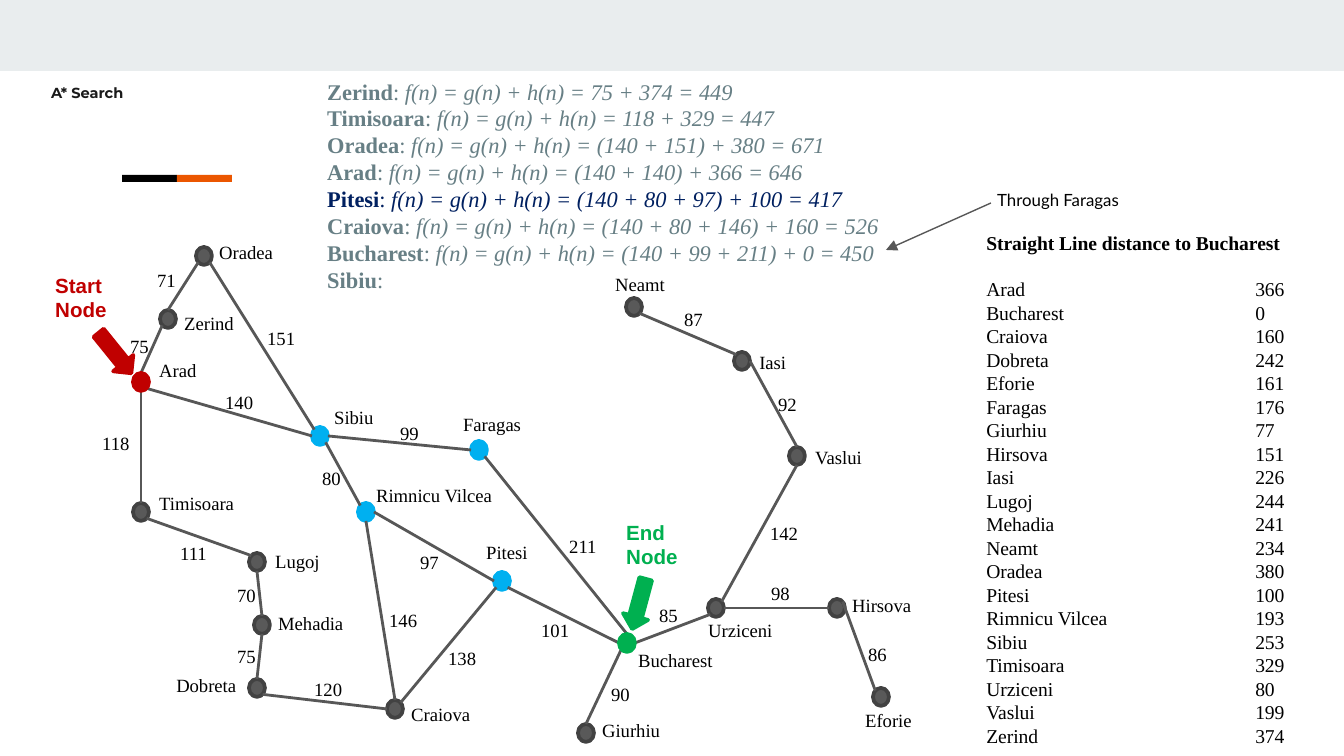
from lxml import etree
from pptx import Presentation
from pptx.dml.color import RGBColor
from pptx.enum.shapes import MSO_CONNECTOR, MSO_SHAPE
from pptx.oxml.ns import qn
from pptx.util import Emu, Pt

RECTANGLE, ELLIPSE, LEFT_ARROW = MSO_SHAPE.RECTANGLE, MSO_SHAPE.OVAL, MSO_SHAPE.LEFT_ARROW
STRAIGHT = MSO_CONNECTOR.STRAIGHT
SCALE = 914400 / 134.4

BLACK = RGBColor(0x00, 0x00, 0x00)
INK = RGBColor(0x1A, 0x1A, 0x1A)
BAND = RGBColor(0xE9, 0xED, 0xEE)
ORANGE = RGBColor(0xEB, 0x56, 0x00)
NODE_FILL = RGBColor(0x59, 0x59, 0x59)
NODE_LINE = RGBColor(0x42, 0x42, 0x42)
EDGE = RGBColor(0x57, 0x57, 0x57)
VISITED = RGBColor(0x00, 0xB0, 0xF0)
START = RGBColor(0xC0, 0x00, 0x00)
END = RGBColor(0x00, 0xB0, 0x50)
SLATE = RGBColor(0x67, 0x7F, 0x85)
NAVY = RGBColor(0x00, 0x20, 0x60)

SERIF = "Times New Roman"
MAP_TEXT = {"name": SERIF, "size": Pt(10)}
LIST_TEXT = {"name": SERIF, "size": Pt(10.5)}
COST_TEXT = {"name": SERIF, "size": Pt(12)}
NOTE_TEXT = {"name": "Lato", "size": Pt(9)}
TITLE_TEXT = {"name": "Montserrat", "size": Pt(7.8), "bold": True}
MARKER_TEXT = {"name": "Arial", "size": Pt(11), "bold": True}

RADIUS_X, RADIUS_Y = 8, 9
LABEL_HEIGHT = 35
DISTANCE_TAB = 269

# city: node centre, label left, top and width, distance to Bucharest
CITIES = {
    "Arad": (141, 382, 146, 352, 83, 366),
    "Bucharest": (627, 643, 625, 642, 310, 0),
    "Craiova": (395, 709, 398, 696, 112, 160),
    "Dobreta": (257, 688, 163, 667, 108, 242),
    "Eforie": (881, 697, 852, 702, 93, 161),
    "Faragas": (479, 450, 450, 406, 91, 176),
    "Giurhiu": (586, 733, 589, 712, 85, 77),
    "Hirsova": (837, 608, 839, 587, 108, 151),
    "Iasi": (742, 361, 746, 344, 66, 226),
    "Lugoj": (257, 562, 262, 543, 83, 244),
    "Mehadia": (262, 625, 265, 605, 105, 241),
    "Neamt": (634, 307, 602, 266, 310, 234),
    "Oradea": (204, 256, 206, 234, 310, 380),
    "Pitesi": (502, 581, 473, 534, 83, 100),
    "Rimnicu Vilcea": (366, 512, 363, 477, 181, 193),
    "Sibiu": (320, 436, 321, 399, 82, 253),
    "Timisoara": (141, 512, 146, 485, 310, 329),
    "Urziceni": (716, 608, 695, 612, 108, 80),
    "Vaslui": (797, 456, 802, 439, 110, 199),
    "Zerind": (168, 319, 171, 305, 95, 374),
}
VISITED_CITIES = ("Sibiu", "Rimnicu Vilcea", "Faragas", "Pitesi")
GOALS = {"Arad": START, "Bucharest": END}

# city and side, city and side, cost, label left, top and width
ROADS = [
    ("Oradea", "SW", "Zerind", "N", 71, 144, 262, 58),
    ("Zerind", "SW", "Arad", "N", 75, 117, 328, 58),
    ("Arad", "S", "Timisoara", "N", 118, 89, 425, 69),
    ("Oradea", "SE", "Sibiu", "NW", 151, 254, 320, 70),
    ("Timisoara", "SE", "Lugoj", "NW", 111, 167, 535, 58),
    ("Lugoj", "S", "Mehadia", "N", 70, 224, 577, 58),
    ("Mehadia", "S", "Dobreta", "N", 75, 224, 638, 58),
    ("Dobreta", "SE", "Craiova", "W", 120, 301, 671, 58),
    ("Craiova", "N", "Rimnicu Vilcea", "S", 146, 376, 602, 58),
    ("Arad", "SE", "Sibiu", "W", 140, 212, 384, 58),
    ("Sibiu", "SE", "Rimnicu Vilcea", "NW", 80, 309, 460, 58),
    ("Sibiu", "E", "Faragas", "W", 99, 387, 415, 58),
    ("Faragas", "SE", "Bucharest", "N", 211, 556, 528, 75),
    ("Rimnicu Vilcea", "E", "Pitesi", "W", 97, 407, 544, 58),
    ("Pitesi", "SW", "Craiova", "NE", 138, 435, 640, 58),
    ("Bucharest", "W", "Pitesi", "SE", 101, 528, 612, 58),
    ("Bucharest", "SW", "Giurhiu", "N", 90, 598, 676, 58),
    ("Bucharest", "E", "Urziceni", "SW", 85, 646, 597, 58),
    ("Urziceni", "E", "Hirsova", "W", 98, 758, 575, 58),
    ("Hirsova", "NE", "Eforie", "NW", 86, 855, 636, 58),
    ("Vaslui", "S", "Urziceni", "NE", 142, 757, 515, 71),
    ("Vaslui", "N", "Iasi", "E", 92, 765, 386, 58),
    ("Neamt", "SE", "Iasi", "NW", 87, 671, 301, 58),
]
COSTS = [
    ("Zerind", "75 + 374 = 449"),
    ("Timisoara", "118 + 329 = 447"),
    ("Oradea", "(140 + 151) + 380 = 671"),
    ("Arad", "(140 + 140) + 366 = 646"),
    ("Pitesi", "(140 + 80 + 97) + 100 = 417"),
    ("Craiova", "(140 + 80 + 146) + 160 = 526"),
    ("Bucharest", "(140 + 99 + 211) + 0 = 450"),
    ("Sibiu", ""),
]


def px(*lengths):
    """Turn pixel lengths into EMU."""
    return [Emu(round(length * SCALE)) for length in lengths]


def add_block(slide, kind, box, fill, line=None, rotation=0):
    """Add a filled preset shape, outlined when a line colour is given."""
    block = slide.shapes.add_shape(kind, *px(*box))
    block.shadow.inherit = False
    block.rotation = rotation
    block.fill.solid()
    block.fill.fore_color.rgb = fill
    if line is None:
        block.line.fill.background()
    else:
        block.line.color.rgb = line
        block.line.width = Pt(2)


def add_line(slide, start, end, width, arrow=False):
    """Add a straight line, with an arrowhead at its end if asked."""
    line = slide.shapes.add_connector(STRAIGHT, *px(*start, *end))
    line.line.color.rgb = EDGE
    line.line.width = Pt(width)
    if arrow:
        etree.SubElement(line.line._get_or_add_ln(), qn("a:tailEnd"), type="triangle")
    etree.SubElement(line._element.spPr, qn("a:effectLst"))


def add_run(paragraph, words, style, color, **extra):
    """Add a run whose font takes the style and any extra values."""
    run = paragraph.add_run()
    run.text = words
    for key, value in {**style, **extra}.items():
        setattr(run.font, key, value)
    run.font.color.rgb = color


def add_text(slide, box, paragraphs, style, color=BLACK):
    """Add a wrapped text box; each paragraph is a list of (words, extra)."""
    frame = slide.shapes.add_textbox(*px(*box)).text_frame
    frame.word_wrap = True
    for index, runs in enumerate(paragraphs):
        paragraph = frame.add_paragraph() if index else frame.paragraphs[0]
        for words, extra in runs:
            add_run(paragraph, words, style, extra.get("color", color),
                    **{key: value for key, value in extra.items() if key != "color"})
    return frame


def add_label(slide, box, style, color, *lines):
    """Add a text box of plain lines."""
    return add_text(slide, box, [[(line, {})] for line in lines], style, color)


def add_node(slide, city, fill, line):
    """Add the dot of a city."""
    x, y = CITIES[city][:2]
    add_block(slide, ELLIPSE, (x - RADIUS_X, y - RADIUS_Y, 2 * RADIUS_X, 2 * RADIUS_Y), fill, line)


def node_site(city, side):
    """Return the point on a city's dot at a compass side."""
    x, y = CITIES[city][:2]
    reach = 0.71 if len(side) == 2 else 1
    across = ("E" in side) - ("W" in side)
    down = ("S" in side) - ("N" in side)
    return x + across * reach * RADIUS_X, y + down * reach * RADIUS_Y


def add_map(slide):
    """Draw the cities, the roads and their labels."""
    for city in CITIES:
        if city not in GOALS:
            colors = (VISITED, VISITED) if city in VISITED_CITIES else (NODE_FILL, NODE_LINE)
            add_node(slide, city, *colors)
    for origin, side, target, target_side, cost, left, top, width in ROADS:
        add_line(slide, node_site(origin, side), node_site(target, target_side), 1.5)
        add_label(slide, (left, top, width, LABEL_HEIGHT), MAP_TEXT, BLACK, str(cost))
    for city, (_, _, left, top, width, _) in CITIES.items():
        add_label(slide, (left, top, width, LABEL_HEIGHT), MAP_TEXT, BLACK, city)
    for city, color in GOALS.items():
        add_node(slide, city, color, color)


def add_costs(slide):
    """List the evaluation of each open city, the best one in navy."""
    lines = []
    for city, total in COSTS:
        color = {"color": NAVY if city == "Pitesi" else SLATE}
        runs = [(city, {"bold": True, **color}), (": ", color)]
        if total:
            runs.append((f"f(n) = g(n) + h(n) = {total}", {"italic": True, **color}))
        lines.append(runs)
    add_text(slide, (314, 71, 680, 255), lines, COST_TEXT)


def add_distances(slide):
    """List the straight line distances, aligned at one tab stop."""
    lines = [[("Straight Line distance to Bucharest", {"bold": True})]]
    lines += [[(f"{city}\t{values[-1]}", {})] for city, values in CITIES.items()]
    heading, *rows = add_text(slide, (973, 224, 371, 517), lines, LIST_TEXT).paragraphs
    heading.space_after = Pt(12.5)
    for row in rows:
        stops = etree.SubElement(row._p.get_or_add_pPr(), qn("a:tabLst"))
        etree.SubElement(stops, qn("a:tab"), pos=str(px(DISTANCE_TAB)[0]), algn="l")


def main():
    """Build the slide and save it."""
    deck = Presentation()
    deck.slide_width, deck.slide_height = px(1344, 756)
    slide = deck.slides.add_slide(deck.slide_layouts[6])
    add_block(slide, RECTANGLE, (0, 0, 1344, 71), BAND)
    for left, color in ((122, BLACK), (177, ORANGE)):
        add_block(slide, RECTANGLE, (left, 175, 55, 7), color)
    add_map(slide)
    add_distances(slide)
    for word, color, arrow, angle, label in (
            ("Start", START, (89, 340), 231, (42, 266)), ("End", END, (613, 591), 285.1, (613, 513))):
        add_block(slide, LEFT_ARROW, (*arrow, 52, 26), color, color, angle)
        add_label(slide, (*label, 98, 62), MARKER_TEXT, color, word, "Node")
    add_costs(slide)
    add_line(slide, (991, 203), (886, 250), 0.75, arrow=True)
    add_label(slide, (984, 183, 227, 34), NOTE_TEXT, BLACK, "Through Faragas")
    add_label(slide, (38, 77, 241, 79), TITLE_TEXT, INK, "A* Search")
    deck.save("out.pptx")


main()
